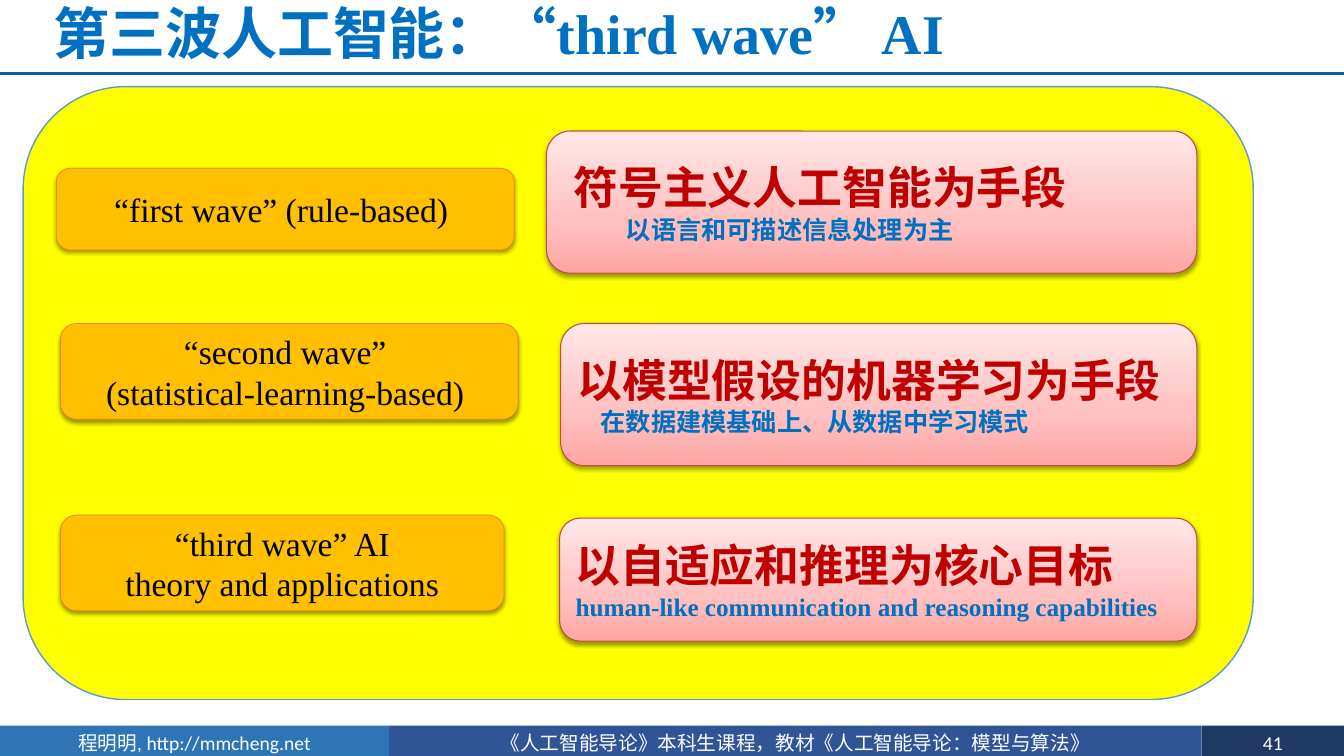
"""Build the slide on the three waves of artificial intelligence."""
from copy import deepcopy

from lxml.etree import SubElement
from pptx import Presentation
from pptx.dml.color import RGBColor
from pptx.enum.lang import MSO_LANGUAGE_ID as Lang
from pptx.enum.shapes import MSO_CONNECTOR as Connector, MSO_SHAPE as Shape
from pptx.enum.text import MSO_ANCHOR as Anchor, PP_ALIGN as Align
from pptx.oxml.ns import qn
from pptx.util import Inches, Pt

COLORS = {
    "white": "FFFFFF", "black": "000000", "blue": "0070C0", "rule": "0062AC",
    "red": "C00000", "yellow": "FFFF00", "panel_edge": "5B9BD5",
    "amber": "FFC000", "amber_edge": "ED7D31", "pink_edge": "BF4C48",
    "author": "2E75B6", "course": "2F5597", "page": "203864",
}
PINK_STOPS = [(0, "FFA6A5"), (0.35, "FFC0BF"), (1, "FFE7E7")]
SERIF, SANS = "Times New Roman", "Calibri"

TITLE = "第三波人工智能：“third wave” AI"
FOOTER = [
    ("程明明, http://mmcheng.net", "author", 3.86),
    ("《人工智能导论》本科生课程，教材《人工智能导论：模型与算法》", "course", 8.06),
    ("41", "page", 1.41),
]
WAVES = [
    {"lines": ["“first wave” (rule-based)"],
     "box": (0.56, 1.67, 4.54, 0.81), "right_inset": 0.18},
    {"lines": ["“second wave”", "(statistical-learning-based)"],
     "box": (0.6, 3.21, 4.54, 0.95), "right_inset": 0.18},
    {"lines": ["“third wave” AI", "theory and applications"],
     "box": (0.6, 5.11, 4.4, 0.95), "right_inset": 0.1},
]
MEANS = [
    {"heading": "符号主义人工智能为手段", "detail": "以语言和可描述信息处理为主",
     "indents": (0.1, 0.62), "box": (5.42, 1.3, 6.45, 1.41)},
    {"heading": "以模型假设的机器学习为手段", "detail": "在数据建模基础上、从数据中学习模式",
     "indents": (0, 0.23), "box": (5.56, 3.21, 6.31, 1.41)},
    {"heading": "以自适应和推理为核心目标",
     "detail": "human-like communication and reasoning capabilities",
     "indents": (0, 0), "box": (5.55, 5.14, 6.32, 1.22)},
]


def rgb(name):
    return RGBColor.from_string(COLORS[name])


def write(frame, text, first=True, size=24, color="black", font=SERIF, bold=False,
          align=Align.LEFT, indent=0, spacing=None, language=None):
    paragraph = frame.paragraphs[0] if first else frame.add_paragraph()
    paragraph.alignment = align
    paragraph.line_spacing = spacing
    if indent:
        paragraph._p.get_or_add_pPr().set("marL", str(Inches(indent)))
    run = paragraph.add_run()
    run.text = text
    run.font.size, run.font.name, run.font.bold = Pt(size), font, bold
    run.font.color.rgb = rgb(color)
    if language:
        run.font.language_id = language


def prepare(frame, side=0.1, right=0.1, edge=0):
    frame.word_wrap = True
    frame.vertical_anchor = Anchor.MIDDLE
    frame.margin_left, frame.margin_right = Inches(side), Inches(right)
    frame.margin_top = frame.margin_bottom = Inches(edge)
    return frame


def add_block(slide, kind, box, fill=None, edge=None, width=1):
    block = slide.shapes.add_shape(kind, *map(Inches, box))
    block.shadow.inherit = False
    if fill:
        block.fill.solid()
        block.fill.fore_color.rgb = rgb(fill)
    if edge:
        block.line.color.rgb = rgb(edge)
        block.line.width = Pt(width)
    else:
        block.line.fill.background()
    return block


def cast_shadow(block):
    effects = block._element.spPr.find(qn("a:effectLst"))
    shadow = SubElement(effects, qn("a:outerShdw"), blurRad=str(Pt(3.1)),
                        dist=str(Pt(1.6)), dir="5400000", rotWithShape="0")
    shade = SubElement(shadow, qn("a:srgbClr"), val=COLORS["black"])
    SubElement(shade, qn("a:alpha"), val="38000")


def fill_pink(block):
    block.fill.gradient()
    block.fill.gradient_angle = 90
    stops = block._element.spPr.find(qn("a:gradFill")).find(qn("a:gsLst"))
    stops.insert(1, deepcopy(stops[0]))
    for stop, (position, color) in zip(block.fill.gradient_stops, PINK_STOPS):
        stop.position = position
        stop.color.rgb = RGBColor.from_string(color)


def add_frame(slide):
    left = 0
    for text, fill, width in FOOTER:
        band = add_block(slide, Shape.RECTANGLE, (left, 7.2, width, 0.34), fill)
        write(prepare(band.text_frame), text, size=14, color="white", font=SANS,
              align=Align.CENTER)
        left += width
    rule = slide.shapes.add_connector(Connector.STRAIGHT, 0, Inches(0.73),
                                      Inches(13.33), Inches(0.73))
    rule.line.color.rgb = rgb("rule")
    rule.line.width = Pt(2)
    SubElement(rule._element.spPr, qn("a:effectLst"))
    title = slide.shapes.add_textbox(*map(Inches, (0.43, 0, 12.9, 0.73)))
    write(prepare(title.text_frame, edge=0.05), TITLE, size=40, color="blue", bold=True,
          spacing=0.9, language=Lang.SIMPLIFIED_CHINESE)


def add_waves(slide):
    for wave in WAVES:
        block = add_block(slide, Shape.ROUNDED_RECTANGLE, wave["box"], "amber",
                          "amber_edge", 0.5)
        cast_shadow(block)
        frame = prepare(block.text_frame, right=wave["right_inset"])
        for row, line in enumerate(wave["lines"]):
            write(frame, line, first=row == 0, align=Align.CENTER)


def add_means(slide):
    for means in MEANS:
        block = add_block(slide, Shape.ROUNDED_RECTANGLE, means["box"],
                          edge="pink_edge", width=0.75)
        fill_pink(block)
        cast_shadow(block)
        frame = prepare(block.text_frame)
        heading_indent, detail_indent = means["indents"]
        write(frame, means["heading"], size=32, color="red", bold=True,
              indent=heading_indent)
        write(frame, means["detail"], first=False, size=18, color="blue", bold=True,
              indent=detail_indent)


def main():
    deck = Presentation()
    deck.slide_width, deck.slide_height = Inches(13.33), Inches(7.5)
    slide = deck.slides.add_slide(deck.slide_layouts[6])
    add_frame(slide)
    add_block(slide, Shape.ROUNDED_RECTANGLE, (0.23, 0.86, 12.2, 6.08), "yellow",
              "panel_edge")
    add_means(slide)
    add_waves(slide)
    deck.save("out.pptx")


if __name__ == "__main__":
    main()
